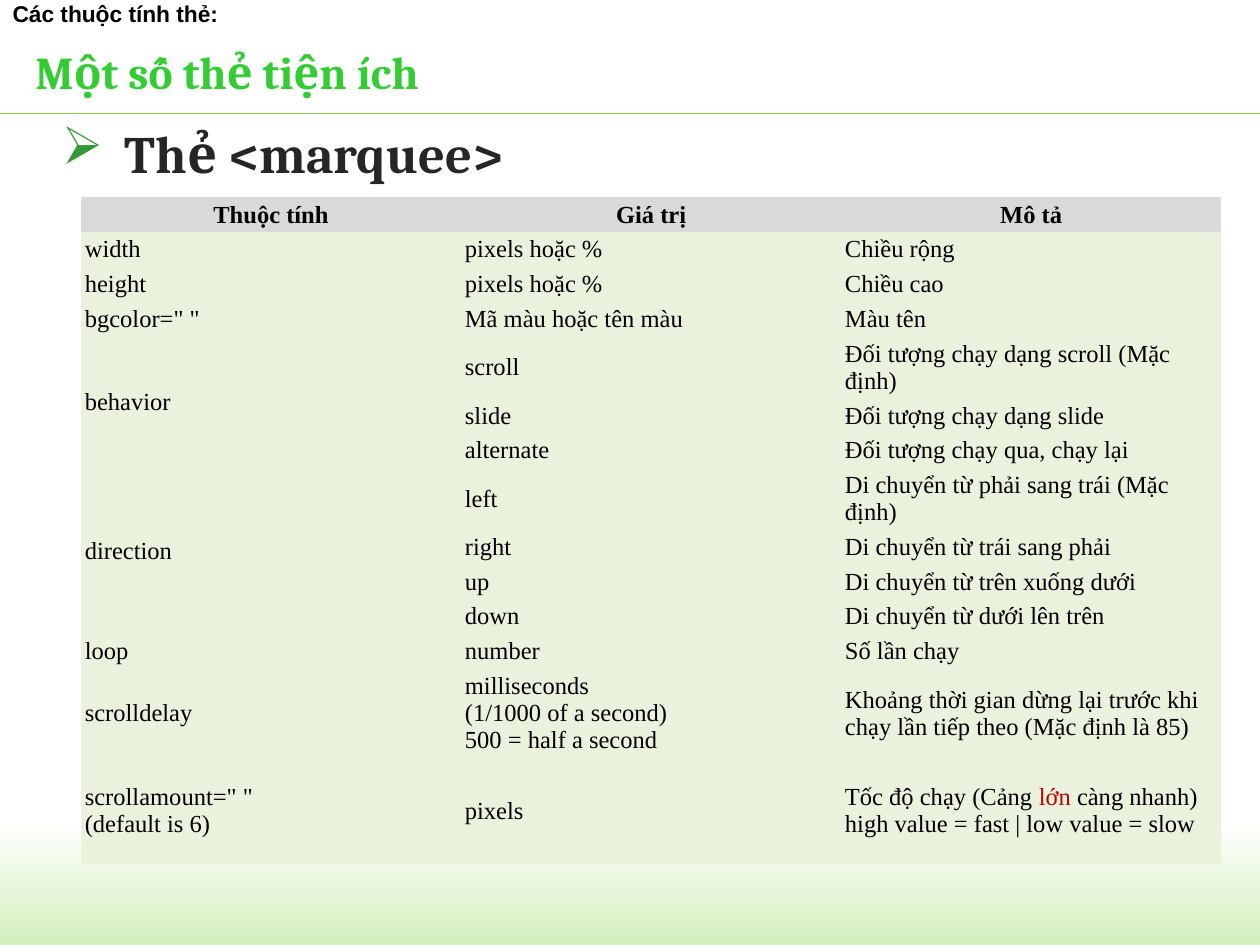
from dataclasses import dataclass

import lxml.etree
import pptx
import pptx.dml.color
import pptx.enum.dml
import pptx.enum.shapes
import pptx.enum.text
import pptx.oxml.ns
import pptx.util

Pt = pptx.util.Pt
Align = pptx.enum.text.PP_ALIGN
Anchor = pptx.enum.text.MSO_ANCHOR
qn = pptx.oxml.ns.qn

COLOURS = {
    "white": "FFFFFF",
    "black": "000000",
    "pale green": "D3EFBB",
    "rule": "92D050",
    "title": "33CC33",
    "bullet": "339933",
    "heading": "262626",
    "header fill": "D9D9D9",
    "body fill": "EAF1DD",
    "red": "C00000",
}
NO_STYLE_NO_GRID = "{2D5ABB26-0587-4C30-8999-92F81FD0307C}"
COLUMN_WIDTH = 217.2
CELL_MARGIN = 2.2


@dataclass
class Row:
    """One table row; an empty name continues the merged cell above."""
    name: str
    value: str
    description: str
    height: float = 18


@dataclass
class Label:
    text: str
    left: float
    top: float
    width: float
    height: float
    size: float
    font: str
    colour: str
    anchor: Anchor = Anchor.MIDDLE
    bullet: str = ""


HEADER = Row("Thuộc tính", "Giá trị", "Mô tả")
ATTRIBUTES = [
    Row("width", "pixels hoặc %", "Chiều rộng"),
    Row("height", "pixels hoặc %", "Chiều cao"),
    Row('bgcolor=" "', "Mã màu hoặc tên màu", "Màu tên"),
    Row("behavior", "scroll", "Đối tượng chạy dạng scroll (Mặc định)", 32.4),
    Row("", "slide", "Đối tượng chạy dạng slide"),
    Row("", "alternate", "Đối tượng chạy qua, chạy lại"),
    Row("direction", "left", "Di chuyển từ phải sang trái (Mặc định)", 32.4),
    Row("", "right", "Di chuyển từ trái sang phải"),
    Row("", "up", "Di chuyển từ trên xuống dưới"),
    Row("", "down", "Di chuyển từ dưới lên trên"),
    Row("loop", "number", "Số lần chạy"),
    Row("scrolldelay", "milliseconds\n(1/1000 of a second)\n500 = half a second",
        "Khoảng thời gian dừng lại trước khi chạy lần tiếp theo (Mặc định là 85)", 46),
    Row('scrollamount=" "\n(default is 6)', "pixels",
        "Tốc độ chạy (Cảng lớn càng nhanh)\nhigh value = fast | low value = slow", 60.5),
]
HIGHLIGHT = "lớn "

LABELS = [
    Label("Thẻ <marquee>", 35.3, 69.1, 650, 40, 30, "Cambria", "heading", Anchor.TOP, "➢"),
    Label("Một số thẻ tiện ích", 20.2, 18, 674.6, 46, 26, "Cambria", "title"),
    Label("Các thuộc tính thẻ:", 7.2, 0, 712.8, 15, 13, "Arial", "black", Anchor.TOP),
]


def rgb(name: str) -> pptx.dml.color.RGBColor:
    return pptx.dml.color.RGBColor.from_string(COLOURS[name])


def write_text(paragraph, text: str, *, size: float, font: str, colour: str = "black",
               bold: bool = False, align: Align = Align.LEFT) -> None:
    """Append formatted text, turning each newline into a line break."""
    paragraph.alignment = align
    for index, line in enumerate(text.split("\n")):
        if index:
            paragraph.add_line_break()
        run = paragraph.add_run()
        run.text = line
        run.font.size = Pt(size)
        run.font.name = font
        run.font.bold = bold
        run.font.color.rgb = rgb(colour)


def add_bullet(paragraph, character: str, colour: str, indent: float) -> None:
    properties = paragraph._p.get_or_add_pPr()
    properties.set("marL", str(Pt(indent)))
    properties.set("indent", str(-Pt(indent)))
    bullet_colour = lxml.etree.SubElement(properties, qn("a:buClr"))
    lxml.etree.SubElement(bullet_colour, qn("a:srgbClr"), val=COLOURS[colour])
    lxml.etree.SubElement(properties, qn("a:buChar"), char=character)


def add_label(slide, label: Label) -> None:
    shape = slide.shapes.add_textbox(
        Pt(label.left), Pt(label.top), Pt(label.width), Pt(label.height))
    frame = shape.text_frame
    frame.word_wrap = True
    frame.vertical_anchor = label.anchor
    frame.margin_left = frame.margin_right = frame.margin_top = frame.margin_bottom = 0
    paragraph = frame.paragraphs[0]
    write_text(paragraph, label.text, size=label.size, font=label.font,
               colour=label.colour, bold=True)
    if label.bullet:
        add_bullet(paragraph, label.bullet, "bullet", 36)


def add_background(slide) -> None:
    """Draw the fading green band at the bottom and the rule under the title."""
    band = slide.shapes.add_shape(
        pptx.enum.shapes.MSO_SHAPE.RECTANGLE, Pt(-2), Pt(470), Pt(722), Pt(70))
    band.shadow.inherit = False
    band.line.fill.background()
    band.fill.gradient()
    band.fill.gradient_angle = 270
    for stop, position, colour in zip(band.fill.gradient_stops, (0, 1), ("white", "pale green")):
        stop.position = position
        stop.color.rgb = rgb(colour)

    rule = slide.shapes.add_connector(
        pptx.enum.shapes.MSO_CONNECTOR.STRAIGHT, Pt(0), Pt(64.8), Pt(720), Pt(64.8))
    rule.line.color.rgb = rgb("rule")
    rule.line.width = Pt(0.75)
    lxml.etree.SubElement(rule._element.spPr, qn("a:effectLst"))


def fill_cell(cell, text: str, is_header: bool) -> None:
    cell.fill.solid()
    cell.fill.fore_color.rgb = rgb("header fill" if is_header else "body fill")
    cell.vertical_anchor = Anchor.MIDDLE
    cell.margin_left = cell.margin_right = Pt(CELL_MARGIN)
    cell.margin_top = cell.margin_bottom = Pt(CELL_MARGIN)
    if not text:
        return
    before, marked, after = text.partition(HIGHLIGHT)
    for part, colour in ((before, "black"), (marked, "red"), (after, "black")):
        if part:
            write_text(cell.text_frame.paragraphs[0], part, size=14, font="Times New Roman",
                       colour=colour, bold=is_header,
                       align=Align.CENTER if is_header else Align.LEFT)


def add_attribute_table(slide) -> None:
    rows = [HEADER, *ATTRIBUTES]
    table = slide.shapes.add_table(
        len(rows), 3, Pt(46.3), Pt(112.8), Pt(3 * COLUMN_WIDTH),
        Pt(sum(row.height for row in rows))).table
    table.first_row = table.horz_banding = False
    table._tbl.tblPr.find(qn("a:tableStyleId")).text = NO_STYLE_NO_GRID
    for column in table.columns:
        column.width = Pt(COLUMN_WIDTH)
    for index, row in enumerate(rows):
        table.rows[index].height = Pt(row.height)
        for column, text in enumerate((row.name, row.value, row.description)):
            fill_cell(table.cell(index, column), text, index == 0)

    starts = [index for index, row in enumerate(rows) if row.name] + [len(rows)]
    for start, following in zip(starts, starts[1:]):
        if following - start > 1:
            table.cell(start, 0).merge(table.cell(following - 1, 0))


def main() -> None:
    presentation = pptx.Presentation()
    presentation.slide_width, presentation.slide_height = Pt(720), Pt(540)
    slide = presentation.slides.add_slide(presentation.slide_layouts[6])
    add_background(slide)
    add_attribute_table(slide)
    for label in LABELS:
        add_label(slide, label)
    presentation.save("out.pptx")


if __name__ == "__main__":
    main()
